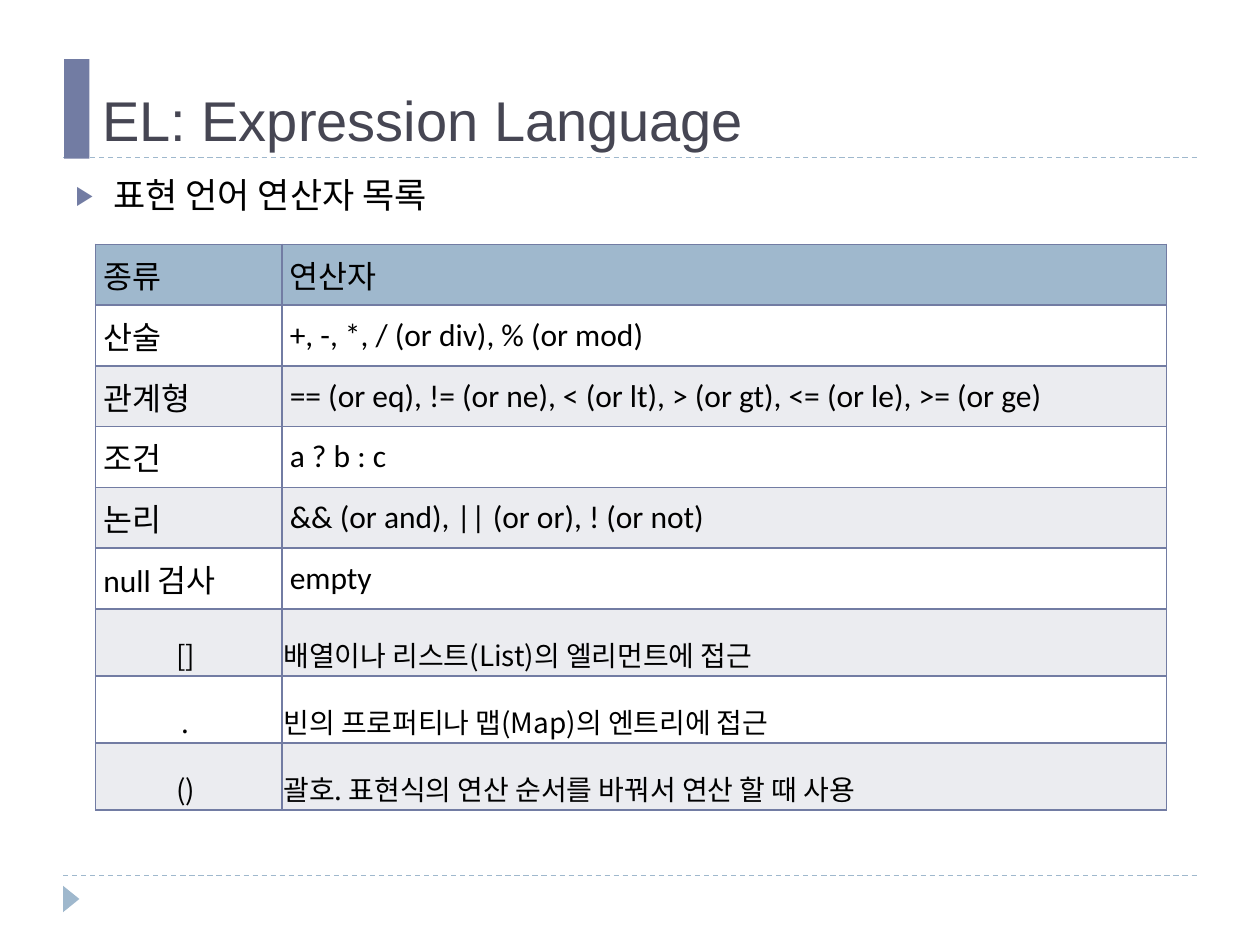
from lxml.etree import SubElement
from pptx import Presentation
from pptx.dml.color import RGBColor
from pptx.enum.dml import MSO_LINE
from pptx.enum.shapes import MSO_CONNECTOR, MSO_SHAPE
from pptx.enum.text import MSO_ANCHOR, PP_ALIGN
from pptx.oxml.ns import qn
from pptx.util import Inches, Pt

BLACK = RGBColor(0x00, 0x00, 0x00)
WHITE = RGBColor(0xFF, 0xFF, 0xFF)
SLATE = RGBColor(0x46, 0x46, 0x53)
INDIGO = RGBColor(0x72, 0x7C, 0xA3)
SKY = RGBColor(0x9F, 0xB8, 0xCD)
BAND = RGBColor(0xEB, 0xEC, 0xF0)
KOREAN = "Noto Sans CJK KR"

HEADER = ("종류", "연산자")
OPERATORS = [
    ("산술", "+, -, *, / (or div), % (or mod)"),
    ("관계형", "== (or eq), != (or ne), < (or lt), > (or gt), <= (or le), >= (or ge)"),
    ("조건", "a ? b : c"),
    ("논리", "&& (or and), || (or or), ! (or not)"),
    ("null 검사", "empty"),
]
ACCESSORS = [
    ("[] ", "배열이나 리스트(List)의 엘리먼트에 접근 "),
    (". ", "빈의 프로퍼티나 맵(Map)의 엔트리에 접근 "),
    ("() ", "괄호. 표현식의 연산 순서를 바꿔서 연산 할 때 사용 "),
]
COL_WIDTHS = (1.48, 7.02)
ROW_HEIGHTS = (0.46, 0.46, 0.48, 0.48, 0.46, 0.46, 0.46, 0.46, 0.46)


def write(tf, text, size=18, font="Calibri", color=BLACK, align=PP_ALIGN.LEFT,
          spacing=None, before=0):
    p = tf.paragraphs[0]
    p.alignment = align
    p.line_spacing = spacing
    p.space_before = Pt(before)
    r = p.add_run()
    r.text = text
    r.font.size = Pt(size)
    r.font.name = font
    r.font.color.rgb = color
    SubElement(r.font._element, qn("a:ea"), typeface=KOREAN)
    return p


def add_bullet(p, char, color, percent, indent):
    pPr = p._p.get_or_add_pPr()
    pPr.set("marL", str(Inches(indent)))
    pPr.set("indent", str(-Inches(indent)))
    clr = SubElement(pPr, qn("a:buClr"))
    SubElement(clr, qn("a:srgbClr"), val=str(color))
    SubElement(pPr, qn("a:buSzPct"), val=str(percent * 1000))
    SubElement(pPr, qn("a:buChar"), char=char)


def add_borders(cell, color, width):
    tcPr = cell._tc.get_or_add_tcPr()
    for side in ("lnL", "lnR", "lnT", "lnB"):
        ln = SubElement(tcPr, qn(f"a:{side}"), w=str(Pt(width)))
        fill = SubElement(ln, qn("a:solidFill"))
        SubElement(fill, qn("a:srgbClr"), val=str(color))


class SlideBuilder:
    def __init__(self, prs):
        self.s = prs.slides.add_slide(prs.slide_layouts[1])
        self.accent, self.rule_color = INDIGO, SKY

    def rule(self, y):
        line = self.s.shapes.add_connector(
            MSO_CONNECTOR.STRAIGHT, Inches(0.5), Inches(y), Inches(9.5), Inches(y))
        line.line.color.rgb = self.rule_color
        line.line.width = Pt(0.75)
        line.line.dash_style = MSO_LINE.DASH
        SubElement(line._element.spPr, qn("a:effectLst"))

    def shape(self, kind, box, color, rotation=0):
        sp = self.s.shapes.add_shape(kind, *map(Inches, box))
        sp.rotation = rotation
        sp.shadow.inherit = False
        sp.fill.solid()
        sp.fill.fore_color.rgb = color
        sp.line.fill.background()

    def placeholder(self, index, box, anchor):
        sp = self.s.placeholders[index]
        sp.left, sp.top, sp.width, sp.height = map(Inches, box)
        sp.text_frame.vertical_anchor = anchor
        return sp.text_frame

    def title(self, text):
        tf = self.placeholder(0, (0.71, 0.47, 8.79, 0.79), MSO_ANCHOR.BOTTOM)
        write(tf, text, size=32, font="Arial", color=SLATE)

    def body(self, text):
        tf = self.placeholder(1, (0.5, 1.33, 9, 5.4), MSO_ANCHOR.TOP)
        p = write(tf, text, size=20, before=6)
        add_bullet(p, "▶", self.accent, percent=76, indent=0.3)

    def cell(self, cell, text, fill, inset, **style):
        cell.margin_left = cell.margin_right = Inches(inset)
        cell.margin_top = cell.margin_bottom = Inches(inset)
        cell.vertical_anchor = MSO_ANCHOR.MIDDLE
        add_borders(cell, self.accent, 1)
        cell.fill.solid()
        cell.fill.fore_color.rgb = fill
        write(cell.text_frame, text, **style)

    def operator_table(self, left, top):
        rows = [HEADER, *OPERATORS, *ACCESSORS]
        table = self.s.shapes.add_table(
            len(rows), len(COL_WIDTHS), Inches(left), Inches(top),
            Inches(sum(COL_WIDTHS)), Inches(sum(ROW_HEIGHTS))).table
        table.first_row = table.horz_banding = False
        for col, width in zip(table.columns, COL_WIDTHS):
            col.width = Inches(width)
        for i, (row, height) in enumerate(zip(rows, ROW_HEIGHTS)):
            table.rows[i].height = Inches(height)
            fill = SKY if i == 0 else WHITE if i % 2 else BAND
            accessor = i > len(OPERATORS)
            if accessor:
                style = dict(inset=0.01, size=16, font=KOREAN, spacing=1.6)
            else:
                style = dict(inset=0.06)
            first = PP_ALIGN.CENTER if accessor else PP_ALIGN.LEFT
            second = PP_ALIGN.JUSTIFY if i else PP_ALIGN.LEFT
            for j, align in enumerate((first, second)):
                self.cell(table.cell(i, j), row[j], fill, align=align, **style)


def main():
    prs = Presentation()
    prs.slide_width, prs.slide_height = Inches(10), Inches(7.5)
    slide = SlideBuilder(prs)
    for y in (6.95, 1.25):
        slide.rule(y)
    slide.shape(MSO_SHAPE.ISOSCELES_TRIANGLE, (0.46, 7.07, 0.21, 0.13), SKY, rotation=90)
    slide.shape(MSO_SHAPE.RECTANGLE, (0.51, 0.47, 0.2, 0.79), INDIGO)
    slide.title("EL: Expression Language")
    slide.body("표현 언어 연산자 목록")
    slide.operator_table(0.76, 1.94)
    prs.save("out.pptx")


if __name__ == "__main__":
    main()
